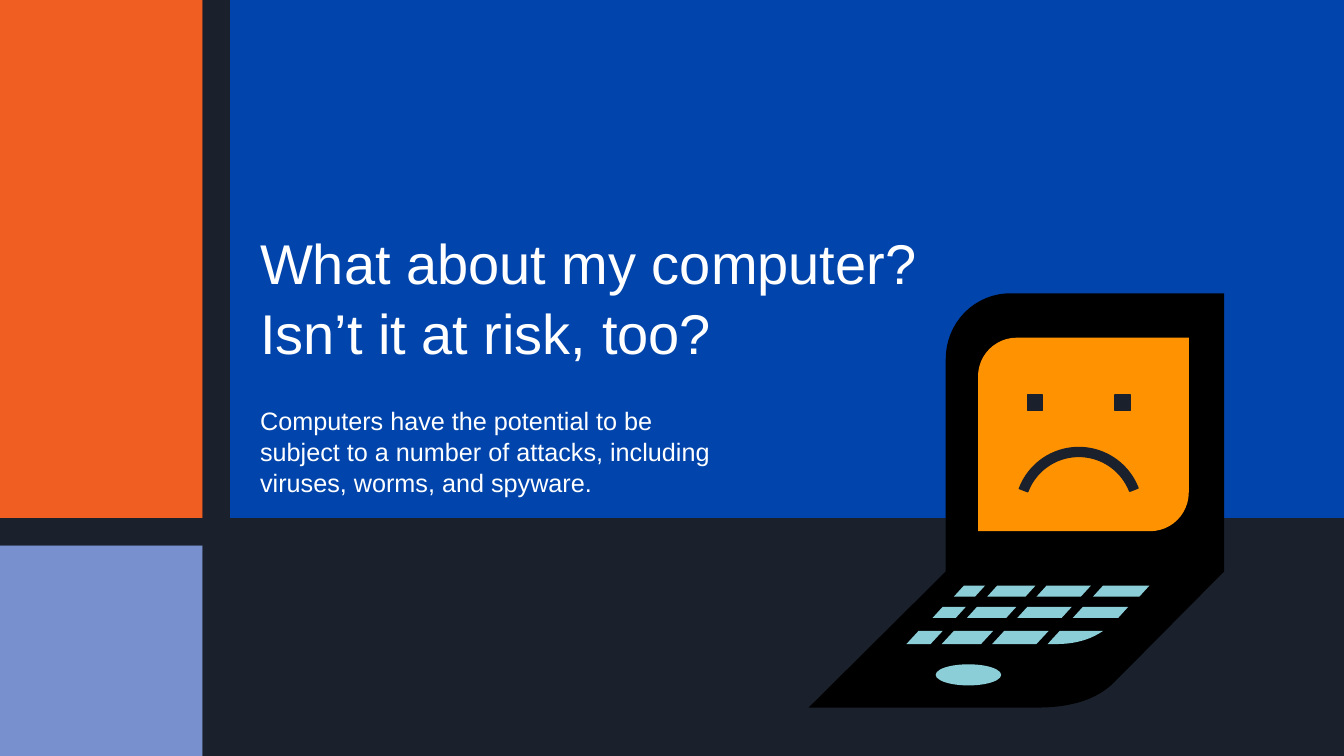
from pptx import Presentation
from pptx import util as u
from pptx.dml.color import RGBColor
from pptx.enum import shapes, text

# Content (positions in inches, converted to Cm below)
TITLE = "What about my computer?\vIsn’t it at risk, too?"
BODY = ("Computers have the potential to be subject to a number of attacks, "
        "including viruses, worms, and spyware.")
COLORS = {"dark": "1B212C", "blue": "0145AC", "orange": "F15E22",
          "lavender": "7890CD", "white": "FFFFFF", "black": "000000",
          "key": "8CCED7", "screen": "FF9201"}
WIDTH, HEIGHT = 13.33, 7.5
LEFT_BAND, UPPER_BAND, GUTTER = 2.01, 5.14, 0.27
MAIN_LEFT = LEFT_BAND + GUTTER
LOWER_TOP = UPPER_BAND + GUTTER
PANELS = [
    ("blue", MAIN_LEFT, 0, WIDTH - MAIN_LEFT, UPPER_BAND),
    ("orange", 0, 0, LEFT_BAND, UPPER_BAND),
    ("lavender", 0, LOWER_TOP, LEFT_BAND, HEIGHT - LOWER_TOP),
    ("dark", 0, UPPER_BAND, WIDTH, GUTTER),
    ("dark", LEFT_BAND, 0, GUTTER, HEIGHT),
]
# Keyboard rows: top, height, slant, (left, right) of each key's top edge
KEY_ROWS = [
    (5.81, 0.11, 0.1, [(9.56, 9.77), (9.89, 10.27), (10.38, 10.82), (10.94, 11.4)]),
    (6.02, 0.11, 0.1, [(9.35, 9.58), (9.69, 10.08), (10.19, 10.63), (10.74, 11.19)]),
    (6.26, 0.13, 0.12, [(9.11, 9.35), (9.46, 9.85), (9.96, 10.4)]),
]
CIRCLE, PARABOLA = 0.71, 1  # weights of a curve's control point

presentation = Presentation()


def length(inches):
    return u.Cm(inches * 2.54)


presentation.slide_width = length(WIDTH)
presentation.slide_height = length(HEIGHT)
slide = presentation.slides.add_slide(presentation.slide_layouts[5])


def rgb(name):
    return RGBColor.from_string(COLORS[name])


def paint(shape, color, outlined=False):
    shape.shadow.inherit = False
    shape.fill.solid()
    shape.fill.fore_color.rgb = rgb(color)
    if outlined:
        shape.line.color.rgb = rgb(color)
        shape.line.width = u.Pt(1)
    else:
        shape.line.fill.background()


def add_preset(kind, color, *box, outlined=False, adjustments=()):
    shape = slide.shapes.add_shape(kind, *map(length, box))
    for index, value in enumerate(adjustments):
        shape.adjustments[index] = value
    paint(shape, color, outlined)


def add_outline(color, points):
    corners = [(length(x), length(y)) for x, y in points]
    builder = slide.shapes.build_freeform(*corners[0])
    builder.add_line_segments(corners[1:], close=True)
    paint(builder.convert_to_shape(), color)


def curve(start, control, end, weight, steps=16):
    points = []
    for step in range(steps + 1):
        t = step / steps
        a, b, c = (1 - t) ** 2, 2 * weight * t * (1 - t), t ** 2
        points.append(tuple((a * p + b * q + c * r) / (a + b + c)
                            for p, q, r in zip(start, control, end)))
    return points


def write(shape, words, *, box, size, inset, color="white", font="Arial"):
    shape.left, shape.top, shape.width, shape.height = map(length, box)
    frame = shape.text_frame
    frame.text = words
    frame.word_wrap = True
    frame.auto_size = text.MSO_AUTO_SIZE.NONE
    frame.vertical_anchor = text.MSO_ANCHOR.BOTTOM
    frame.margin_left = frame.margin_right = length(0.3)
    frame.margin_top = frame.margin_bottom = length(inset)
    paragraph = frame.paragraphs[0]
    paragraph.alignment = text.PP_ALIGN.LEFT
    paragraph.line_spacing = 1.04
    for run in paragraph.runs:
        run.font.name = font
        run.font.size = u.Pt(size)
        run.font.color.rgb = rgb(color)


# Background and panels
slide.background.fill.solid()
slide.background.fill.fore_color.rgb = rgb("dark")
RECTANGLE = shapes.MSO_SHAPE.RECTANGLE
for color, *box in PANELS:
    add_preset(RECTANGLE, color, *box)

# Body text
body = slide.shapes.add_textbox(0, 0, 0, 0)
write(body, BODY, box=(MAIN_LEFT, 3.83, 5.31, 1.31), size=18, inset=0.2)

# Laptop case
add_outline("black", [
    (12.14, 2.91),
    *curve((10.02, 2.91), (9.38, 2.91), (9.38, 3.56), CIRCLE),
    (9.38, 5.67), (8.02, 7.02),
    *curve((10.29, 7.02), (10.8, 7.02), (11.05, 6.77), PARABOLA),
    (12.14, 5.67),
])

# Keyboard, with its one curved key, and touchpad
for top, height, slant, keys in KEY_ROWS:
    for left, right in keys:
        add_outline("key", [(left, top), (right, top),
                            (right - slant, top + height),
                            (left - slant, top + height)])
add_outline("key", [(10.51, 6.26),
                    *curve((10.94, 6.26), (10.75, 6.39), (10.48, 6.39), PARABOLA),
                    (10.39, 6.39)])
add_preset(shapes.MSO_SHAPE.OVAL, "key", 9.28, 6.59, 0.65, 0.21)

# Screen and sad face
add_preset(shapes.MSO_SHAPE.ROUND_2_DIAG_RECTANGLE, "screen",
           9.7, 3.35, 2.09, 1.92, adjustments=(0.2, 0))
for eye_left in (10.19, 11.06):
    add_preset(RECTANGLE, "dark", eye_left, 3.92, 0.15, 0.15, outlined=True)
add_preset(shapes.MSO_SHAPE.BLOCK_ARC, "dark", 10.07, 4.44, 1.26, 1.26,
           outlined=True, adjustments=(120.41, 203.3, 0.07))

# Title, brought in front of the panels
title = slide.shapes.title
write(title, TITLE, box=(MAIN_LEFT, 2.13, 9.94, 1.65), size=40, inset=0.15)
slide.shapes.element.append(title.element)

presentation.save("out.pptx")
